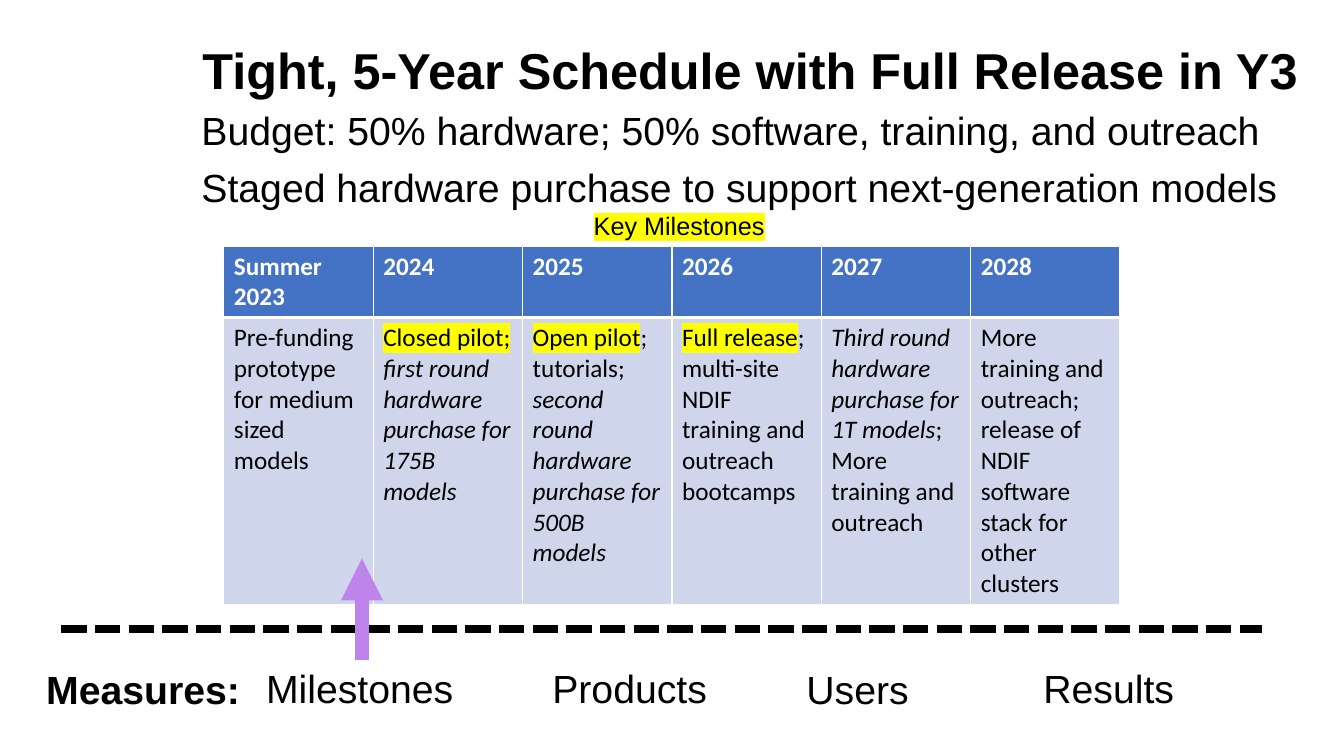
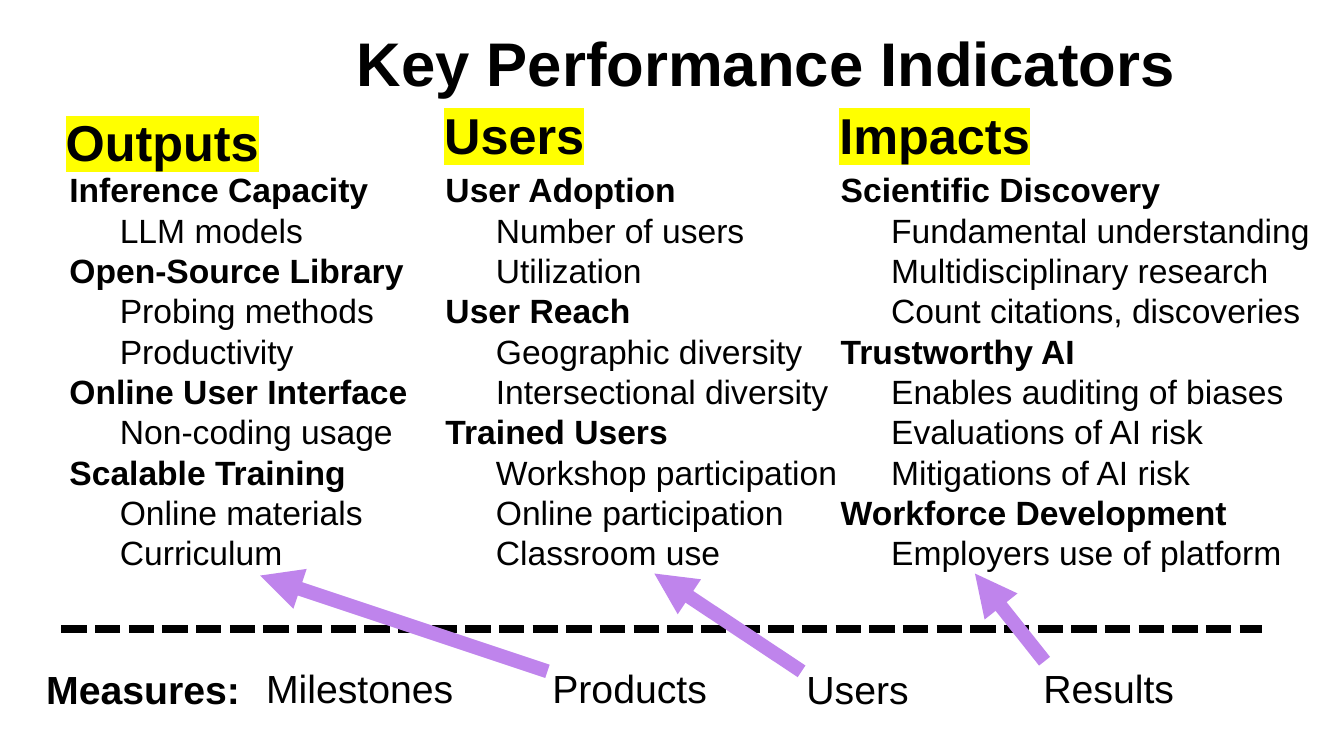
from dataclasses import dataclass
from typing import Any, NamedTuple, Optional

import lxml.etree
import pptx
import pptx.dml.color
import pptx.enum.dml
import pptx.enum.shapes
import pptx.enum.text
import pptx.oxml
import pptx.oxml.ns
import pptx.util

Inches = pptx.util.Inches
Align = pptx.enum.text.PP_ALIGN


@dataclass(frozen=True)
class Theme:
    black: str = "000000"
    white: str = "FFFFFF"
    yellow: str = "FFFF00"
    purple: str = "BF84EC"
    header_fill: str = "4472C4"
    body_fill: str = "CFD5EA"
    text_font: str = "Arial"
    table_font: str = "Calibri"
    indicator_title: int = 44
    heading: int = 36
    body: int = 28
    item: int = 24
    small: int = 18
    thick_line: int = 10
    divider: int = 6


THEME = Theme()


class Box(NamedTuple):
    left: float
    top: float
    width: float
    height: float


class Point(NamedTuple):
    x: float
    y: float


class Run(NamedTuple):
    text: str
    italic: bool = False
    highlight: bool = False


class Label(NamedTuple):
    text: str
    box: Box
    bold: bool = False


class Group(NamedTuple):
    title: str
    items: tuple[str, ...]


class Column(NamedTuple):
    heading: str
    heading_box: Box
    list_box: Box
    groups: tuple[Group, ...]


MEASURES = (
    Label("Measures:", Box(0.36, 6.55, 2.15, 0.57), bold=True),
    Label("Milestones", Box(2.54, 6.54, 2.08, 0.57)),
    Label("Products", Box(5.38, 6.54, 1.75, 0.57)),
    Label("Users", Box(7.9, 6.55, 1.23, 0.57)),
    Label("Results", Box(10.25, 6.54, 1.51, 0.57)),
)

SCHEDULE = {
    "Summer 2023": (Run("Pre-funding prototype for medium sized models"),),
    "2024": (
        Run("Closed pilot; ", highlight=True),
        Run("first round hardware purchase for 175B models", italic=True),
    ),
    "2025": (
        Run("Open pilot", highlight=True),
        Run("; tutorials; "),
        Run("second round hardware purchase for 500B models", italic=True),
    ),
    "2026": (
        Run("Full release", highlight=True),
        Run("; multi-site NDIF training and outreach bootcamps"),
    ),
    "2027": (
        Run("Third round hardware purchase for 1T models", italic=True),
        Run("; More training and outreach"),
    ),
    "2028": (
        Run("More training and outreach; release of NDIF software stack for other clusters"),
    ),
}

COLUMNS = (
    Column("Outputs", Box(0.53, 1.05, 2.16, 0.71), Box(0.59, 1.63, 4.51, 4.14), (
        Group("Inference Capacity", ("LLM models",)),
        Group("Open-Source Library", ("Probing methods", "Productivity")),
        Group("Online User Interface", ("Non-coding usage",)),
        Group("Scalable Training", ("Online materials", "Curriculum")),
    )),
    Column("Users", Box(4.02, 0.98, 2.16, 0.71), Box(4.32, 1.63, 4.51, 4.14), (
        Group("User Adoption", ("Number of users", "Utilization")),
        Group("User Reach", ("Geographic diversity", "Intersectional diversity")),
        Group("Trained Users", (
            "Workshop participation", "Online participation", "Classroom use")),
    )),
    Column("Impacts", Box(7.81, 0.98, 2.92, 0.71), Box(8.24, 1.63, 4.94, 4.14), (
        Group("Scientific Discovery", (
            "Fundamental understanding", "Multidisciplinary research",
            "Count citations, discoveries")),
        Group("Trustworthy AI", (
            "Enables auditing of biases", "Evaluations of AI risk",
            "Mitigations of AI risk")),
        Group("Workforce Development", ("Employers use of platform",)),
    )),
)

INDICATOR_ARROWS = (
    (Point(5.43, 6.66), Point(2.58, 5.71)),
    (Point(7.95, 6.66), Point(6.49, 5.69)),
    (Point(10.36, 6.56), Point(9.67, 5.69)),
)


def rgb(color: str) -> pptx.dml.color.RGBColor:
    return pptx.dml.color.RGBColor.from_string(color)


def write_text(paragraph: Any, text: str, *, size: int, font: str = THEME.text_font,
               color: str = THEME.black, bold: bool = False, italic: bool = False,
               highlight: bool = False) -> None:
    run = paragraph.add_run()
    run.text = text
    run.font.size = pptx.util.Pt(size)
    run.font.name = font
    run.font.bold = bold
    run.font.italic = italic
    run.font.color.rgb = rgb(color)
    if highlight:
        fill = run.font._element.find(pptx.oxml.ns.qn("a:solidFill"))
        fill.addnext(pptx.oxml.parse_xml(
            f'<a:highlight {pptx.oxml.ns.nsdecls("a")}>'
            f'<a:srgbClr val="{THEME.yellow}"/></a:highlight>'))


def add_frame(slide: Any, box: Box, *, wrap: bool = True, grow: bool = True,
              middle: bool = False) -> Any:
    shape = slide.shapes.add_textbox(*map(Inches, box))
    frame = shape.text_frame
    frame.word_wrap = wrap
    sizes = pptx.enum.text.MSO_AUTO_SIZE
    frame.auto_size = sizes.SHAPE_TO_FIT_TEXT if grow else sizes.NONE
    anchors = pptx.enum.text.MSO_ANCHOR
    frame.vertical_anchor = anchors.MIDDLE if middle else anchors.TOP
    return frame


def add_paragraph(frame: Any) -> Any:
    first = frame.paragraphs[0]
    return frame.add_paragraph() if first.runs else first


def add_title(slide: Any, box: Box, text: str, size: int, alignment: Align) -> None:
    paragraph = add_frame(slide, box, grow=False, middle=True).paragraphs[0]
    paragraph.alignment = alignment
    paragraph.line_spacing = 0.9
    write_text(paragraph, text, size=size, bold=True)


def add_line(slide: Any, start: Point, end: Point, *, color: str, width: int,
             dashed: bool = False, arrow: bool = False) -> None:
    connector = slide.shapes.add_connector(
        pptx.enum.shapes.MSO_CONNECTOR.STRAIGHT, *map(Inches, (*start, *end)))
    connector.line.color.rgb = rgb(color)
    connector.line.width = pptx.util.Pt(width)
    if dashed:
        connector.line.dash_style = pptx.enum.dml.MSO_LINE.SQUARE_DOT
    properties = connector._element.spPr
    if arrow:
        outline = properties.find(pptx.oxml.ns.qn("a:ln"))
        lxml.etree.SubElement(outline, pptx.oxml.ns.qn("a:tailEnd"), type="triangle")
    lxml.etree.SubElement(properties, pptx.oxml.ns.qn("a:effectLst"))


def add_arrow(slide: Any, start: Point, end: Point) -> None:
    add_line(slide, start, end, color=THEME.purple, width=THEME.thick_line, arrow=True)


def add_measures(slide: Any) -> None:
    for label in MEASURES:
        frame = add_frame(slide, label.box, wrap=False)
        write_text(frame.paragraphs[0], label.text, size=THEME.body, bold=label.bold)
    add_line(slide, Point(0.61, 6.24), Point(12.52, 6.24),
             color=THEME.black, width=THEME.divider, dashed=True)


def style_cell(cell: Any, fill: str, top: int, bottom: int) -> None:
    cell.fill.solid()
    cell.fill.fore_color.rgb = rgb(fill)
    properties = cell._tc.get_or_add_tcPr()
    widths = {"lnL": 1, "lnR": 1, "lnT": top, "lnB": bottom}
    for index, (side, width) in enumerate(widths.items()):
        properties.insert(index, pptx.oxml.parse_xml(
            f'<a:{side} {pptx.oxml.ns.nsdecls("a")} w="{pptx.util.Pt(width)}">'
            f'<a:solidFill><a:srgbClr val="{THEME.white}"/></a:solidFill></a:{side}>'))


def add_schedule(slide: Any, box: Box, header_height: float) -> None:
    table = slide.shapes.add_table(2, len(SCHEDULE), *map(Inches, box)).table
    table.horz_banding = False
    table.rows[0].height = Inches(header_height)
    table.rows[1].height = Inches(box.height - header_height)
    for index, (year, runs) in enumerate(SCHEDULE.items()):
        table.columns[index].width = Inches(box.width / len(SCHEDULE))
        header, body = table.cell(0, index), table.cell(1, index)
        style_cell(header, THEME.header_fill, top=1, bottom=3)
        style_cell(body, THEME.body_fill, top=3, bottom=1)
        write_text(header.text_frame.paragraphs[0], year, size=THEME.small,
                   font=THEME.table_font, color=THEME.white, bold=True)
        for run in runs:
            write_text(body.text_frame.paragraphs[0], run.text, size=THEME.small,
                       font=THEME.table_font, italic=run.italic, highlight=run.highlight)


def add_column(slide: Any, column: Column) -> None:
    frame = add_frame(slide, column.list_box)
    for group in column.groups:
        write_text(add_paragraph(frame), group.title, size=THEME.item, bold=True)
        for item in group.items:
            paragraph = add_paragraph(frame)
            paragraph.level = 1
            paragraph._p.get_or_add_pPr().set("marL", str(Inches(0.5)))
            write_text(paragraph, item, size=THEME.item)
    heading = add_frame(slide, column.heading_box).paragraphs[0]
    heading.alignment = Align.CENTER
    write_text(heading, column.heading, size=THEME.heading, bold=True, highlight=True)


def build_schedule_slide(slide: Any) -> None:
    add_title(slide, Box(1.9, 0, 11.09, 1.45),
              "Tight, 5-Year Schedule with Full Release in Y3", THEME.heading, Align.CENTER)
    frame = add_frame(slide, Box(1.9, 1.06, 11.43, 2.15), grow=False)
    space_before: Optional[pptx.util.Pt] = None
    for text in ("Budget: 50% hardware; 50% software, training, and outreach",
                 "Staged hardware purchase to support next-generation models"):
        paragraph = add_paragraph(frame)
        paragraph.line_spacing = 0.9
        paragraph.space_before = space_before
        space_before = pptx.util.Pt(10)
        write_text(paragraph, text, size=THEME.body)
    add_schedule(slide, Box(2.22, 2.44, 8.89, 3.55), header_height=0.71)
    caption = add_frame(slide, Box(5.79, 2.04, 1.91, 0.4), wrap=False)
    write_text(caption.paragraphs[0], "Key Milestones", size=THEME.small, highlight=True)
    add_measures(slide)
    add_arrow(slide, Point(3.59, 6.55), Point(3.59, 5.54))


def build_indicator_slide(slide: Any) -> None:
    add_title(slide, Box(3.44, 0.02, 9.89, 1.28),
              "Key Performance Indicators", THEME.indicator_title, Align.LEFT)
    add_measures(slide)
    for column in COLUMNS:
        add_column(slide, column)
    for start, end in INDICATOR_ARROWS:
        add_arrow(slide, start, end)


def main() -> None:
    presentation = pptx.Presentation()
    presentation.slide_width = Inches(13.33)
    presentation.slide_height = Inches(7.5)
    for build in (build_schedule_slide, build_indicator_slide):
        build(presentation.slides.add_slide(presentation.slide_layouts[6]))
    presentation.save("out.pptx")


if __name__ == "__main__":
    main()
